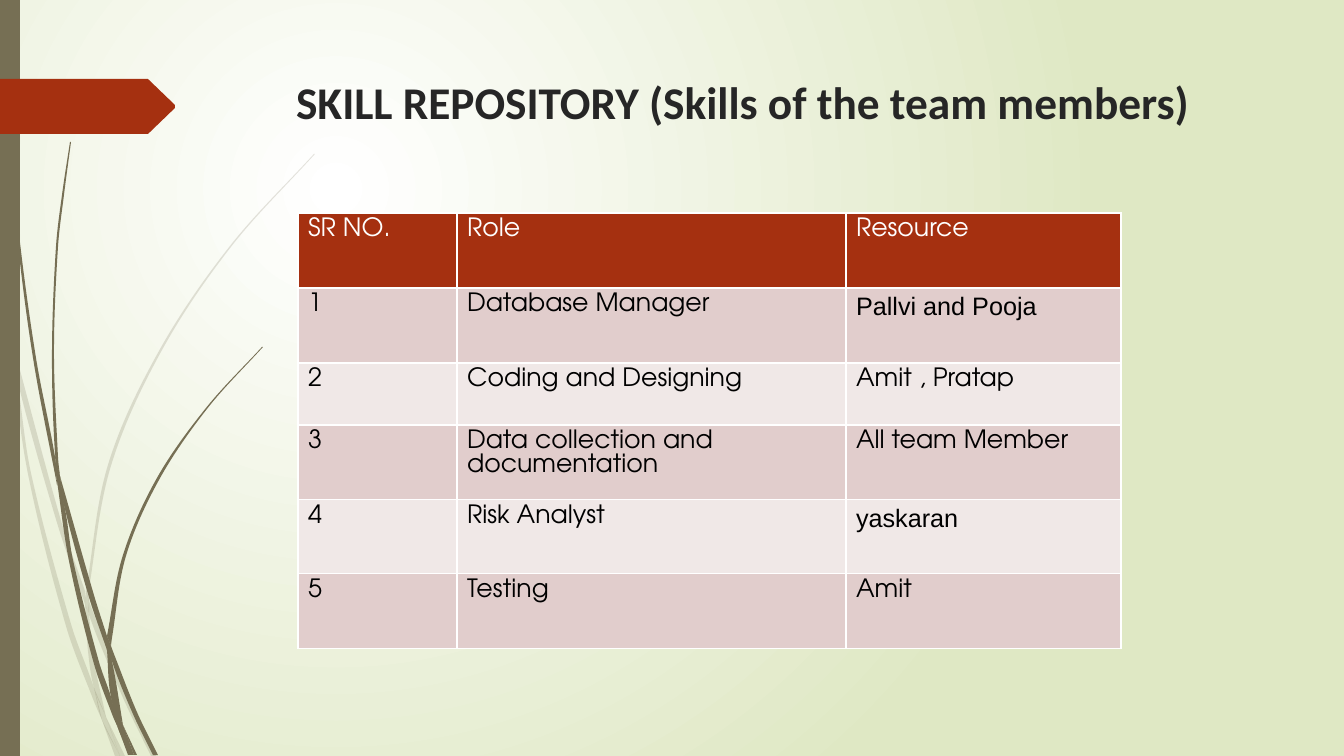
"""Build the skill repository slide with its team table."""
from itertools import pairwise
from math import dist

from lxml.etree import SubElement
from pptx import Presentation
from pptx.dml.color import RGBColor
from pptx.enum.shapes import MSO_SHAPE
from pptx.enum.text import MSO_ANCHOR, PP_ALIGN
from pptx.oxml import parse_xml
from pptx.oxml.ns import nsdecls, qn
from pptx.util import Emu, Pt

SCALE = 914400 / 100.8
COLORS = {
    "white": "FFFFFF", "sage": "DFE8C4", "olive": "766F54", "rust": "A53010",
    "title": "262626", "black": "000000", "odd": "E1CDCC", "even": "F0E8E7",
}


def px(value):
    return Emu(round(value * SCALE))


def write_text(frame, text, size, font, color, bold=False):
    frame.word_wrap = True
    frame.vertical_anchor = MSO_ANCHOR.TOP
    paragraph = frame.paragraphs[0]
    paragraph.alignment = PP_ALIGN.LEFT
    run = paragraph.add_run()
    run.text = text
    run.font.size = Pt(size)
    run.font.name = font
    run.font.bold = bold
    run.font.color.rgb = RGBColor.from_string(COLORS[color])


presentation = Presentation()
presentation.slide_width = px(1344)
presentation.slide_height = px(756)
slide = presentation.slides.add_slide(presentation.slide_layouts[5])

background = slide.background.fill
background.gradient()
for stop, position, color in zip(background.gradient_stops, (0, 1), ("white", "sage")):
    stop.position = position
    stop.color.rgb = RGBColor.from_string(COLORS[color])
gradient = slide.background._cSld.find(".//" + qn("a:gradFill"))
gradient.replace(gradient.find(qn("a:lin")), parse_xml(
    f'<a:path {nsdecls("a")} path="circle">'
    '<a:fillToRect l="50000" t="50000" r="100000" b="100000"/></a:path>'))

# Each blade piece has a left and a right edge, both listed from tip to root.
pale_blades = [
    ([(0, 284), (9, 325), (11, 353)], [(0, 301), (10, 347), (11, 353)]),
    ([(14, 348), (17, 379), (58, 526), (85, 604)], [(14, 348), (62, 524), (85, 591)]),
    ([(89, 601), (89, 615), (124, 700), (151, 756)],
     [(89, 601), (93, 612), (128, 698), (156, 756)]),
    ([(106, 717), (120, 756)], [(106, 717), (125, 756)]),
    ([(11, 353), (28, 474), (66, 626), (93, 699), (102, 720)],
     [(11, 353), (17, 379), (31, 473), (71, 624), (94, 688), (102, 720)]),
    ([(85, 604), (88, 651), (94, 688), (106, 717)],
     [(85, 604), (89, 615), (92, 651), (106, 717)]),
    ([(314, 154), (230, 246), (159, 351), (108, 465), (86, 591)],
     [(315, 154), (231, 247), (161, 352), (111, 466), (89, 589), (89, 601)]),
    ([(102, 720), (115, 756)], [(102, 720), (120, 756)]),
    ([(86, 591), (85, 604), (89, 613)], [(86, 591), (89, 601), (89, 615)]),
    ([(94, 688), (102, 720), (120, 756)], [(94, 688), (106, 717), (120, 756)]),
]
dark_blades = [
    ([(3, 0), (7, 111), (17, 235), (33, 358), (57, 485)],
     [(4, 0), (8, 110), (19, 234), (36, 358), (55, 457), (57, 485)]),
    ([(60, 476), (65, 509), (89, 597), (107, 650)], [(60, 476), (94, 595), (107, 636)]),
    ([(111, 646), (112, 661), (133, 714), (153, 755)],
     [(111, 646), (114, 654), (137, 712), (158, 755)]),
    ([(57, 481), (69, 561), (94, 664), (112, 714), (118, 728)],
     [(57, 481), (65, 509), (73, 560), (99, 662), (111, 697), (118, 728)]),
    ([(70, 142), (62, 195), (56, 247), (52, 352), (55, 453), (60, 476)],
     [(71, 142), (64, 195), (58, 247), (54, 352), (58, 457), (60, 476)]),
    ([(123, 725), (134, 755)], [(123, 725), (137, 755)]),
    ([(55, 453), (57, 481), (65, 509)], [(55, 453), (60, 476), (65, 509)]),
    ([(262, 347), (206, 408), (157, 478), (123, 555), (107, 636)],
     [(263, 347), (207, 409), (159, 480), (126, 556), (112, 638), (111, 646)]),
    ([(118, 728), (128, 755)], [(118, 728), (132, 755)]),
    ([(107, 650), (111, 697), (123, 725)], [(107, 650), (112, 661), (123, 725)]),
    ([(107, 636), (107, 650), (112, 661)], [(107, 636), (111, 646), (112, 661)]),
    ([(111, 697), (118, 728), (131, 755)], [(111, 697), (123, 725), (134, 755)]),
]
arrow = ([(0, 79), (148, 79), (175, 105)], [(0, 134), (148, 134), (175, 108)])
pieces = [(edges, "olive", 20) for edges in pale_blades]
pieces += [(edges, "olive", 100) for edges in dark_blades]
pieces.append((arrow, "rust", 100))

for (left_edge, right_edge), color, opacity in pieces:
    edges = [left_edge, right_edge[::-1]]
    points = [(px(x), px(y)) for edge in edges for x, y in edge]
    builder = slide.shapes.build_freeform(*points[0])
    builder.add_line_segments(points[1:])
    piece = builder.convert_to_shape()
    piece.shadow.inherit = False
    piece.fill.solid()
    piece.fill.fore_color.rgb = RGBColor.from_string(COLORS[color])
    piece.line.fill.background()
    if opacity < 100:
        piece_color = piece._element.spPr.find(".//" + qn("a:srgbClr"))
        SubElement(piece_color, qn("a:alpha"), val=str(opacity * 1000))
    if color == "rust":
        continue
    lines = piece._element.spPr.findall(".//" + qn("a:lnTo"))
    for edge, first_line in zip(edges, (0, len(left_edge))):
        tangents = []
        for before, after in zip([edge[0], *edge], [*edge[1:], edge[-1]]):
            length = dist(before, after)
            tangents.append([(b - a) / length for a, b in zip(before, after)])
        for index, (start, end) in enumerate(pairwise(edge)):
            reach = dist(start, end) / 3
            controls = [
                [p + reach * t for p, t in zip(start, tangents[index])],
                [p - reach * t for p, t in zip(end, tangents[index + 1])],
                end,
            ]
            curve = parse_xml(f'<a:cubicBezTo {nsdecls("a")}/>')
            for x, y in controls:
                SubElement(curve, qn("a:pt"), x=str(px(x) - piece.left),
                           y=str(px(y) - piece.top))
            line = lines[first_line + index]
            line.getparent().replace(line, curve)

side_bar = slide.shapes.add_shape(MSO_SHAPE.RECTANGLE, 0, 0, px(20), px(756))
side_bar.shadow.inherit = False
side_bar.fill.solid()
side_bar.fill.fore_color.rgb = RGBColor.from_string(COLORS["olive"])
side_bar.line.fill.background()
slide.shapes._spTree.append(piece._element)

title = slide.shapes.title
title.left, title.top, title.width, title.height = px(286), px(69), px(983), px(107)
write_text(title.text_frame, "SKILL REPOSITORY (Skills of the team members)",
           size=32.4, font="Calibri", color="title", bold=True)

rows = [
    ("SR NO.", "Role", "Resource"),
    ("1", "Database Manager", "Pallvi and Pooja"),
    ("2", "Coding and Designing", "Amit , Pratap"),
    ("3", "Data collection and documentation", "All team Member"),
    ("4", "Risk Analyst", "yaskaran"),
    ("5", "Testing", "Amit"),
]
arial_names = ("Pallvi and Pooja", "yaskaran")
table = slide.shapes.add_table(6, 3, px(298), px(213), px(823), px(436)).table
for column, width in zip(table.columns, (159, 389, 275)):
    column.width = px(width)
for row, height in zip(table.rows, (75, 75, 62, 75, 74, 75)):
    row.height = px(height)
for row_index, texts in enumerate(rows):
    fill = "rust" if row_index == 0 else "odd" if row_index % 2 else "even"
    for column_index, text in enumerate(texts):
        cell = table.cell(row_index, column_index)
        cell.fill.solid()
        cell.fill.fore_color.rgb = RGBColor.from_string(COLORS[fill])
        write_text(cell.text_frame, text, size=18,
                   font="Arial" if text in arial_names else "TeX Gyre Adventor",
                   color="black" if row_index else "white")
        cell.vertical_anchor = MSO_ANCHOR.TOP
        for position, side in enumerate("LRTB"):
            cell._tc.tcPr.insert(position, parse_xml(
                f'<a:ln{side} {nsdecls("a")} w="12700"><a:solidFill>'
                f'<a:srgbClr val="{COLORS["white"]}"/></a:solidFill></a:ln{side}>'))

presentation.save("out.pptx")
